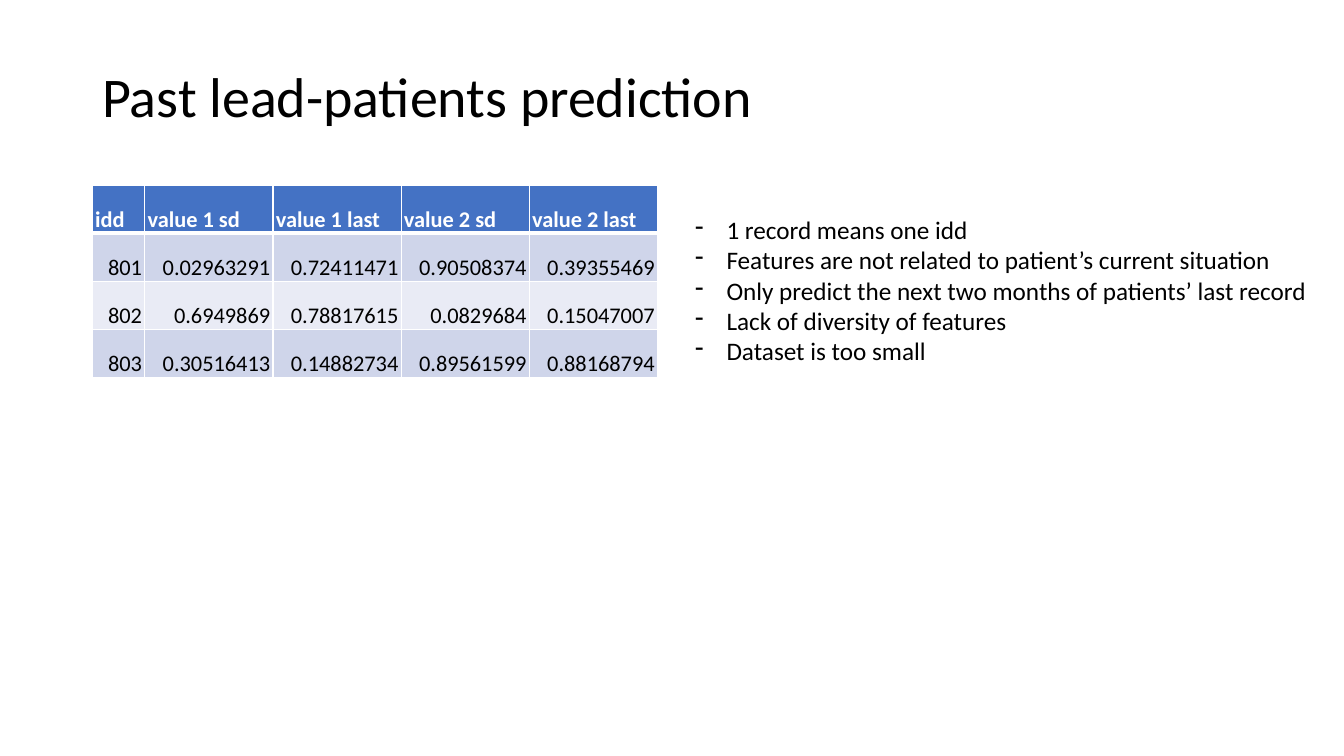
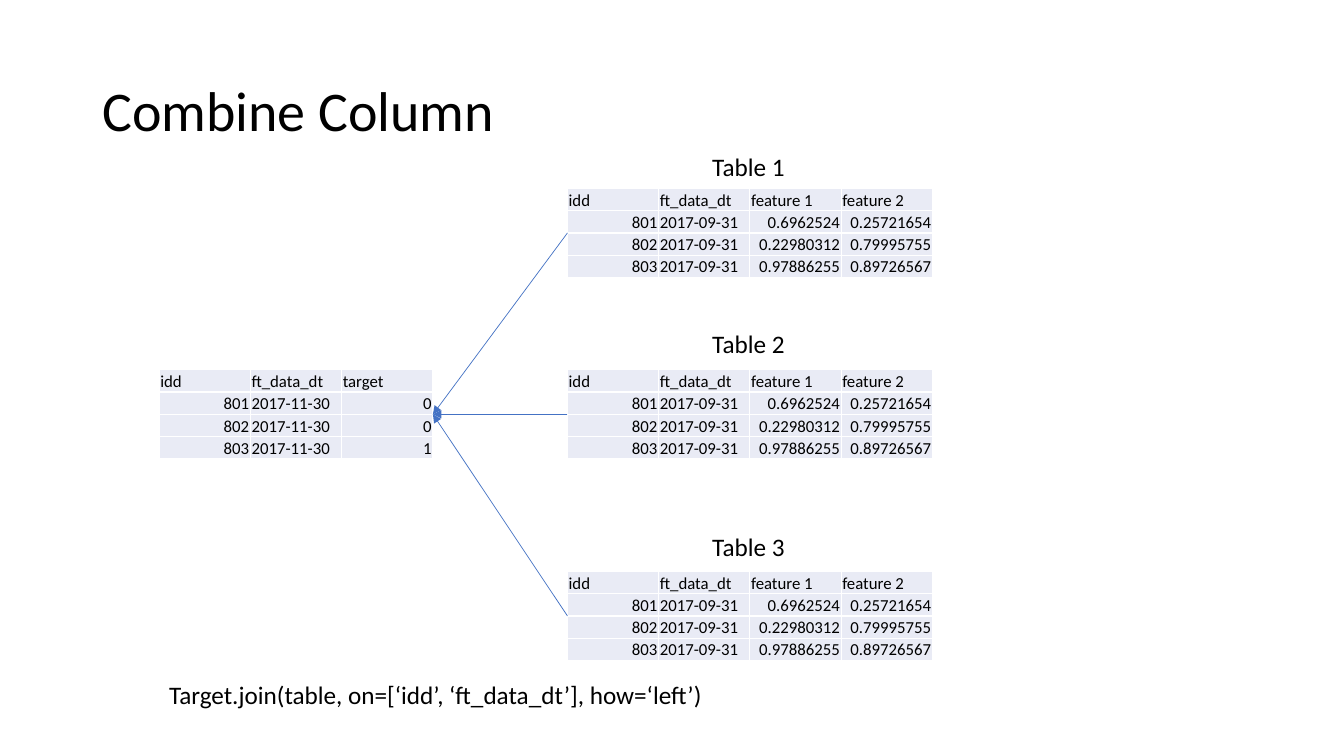
from lxml import etree
from pptx import Presentation
from pptx.dml.color import RGBColor
from pptx.enum.shapes import MSO_CONNECTOR
from pptx.enum.text import MSO_ANCHOR, MSO_AUTO_SIZE, PP_ALIGN
from pptx.oxml.ns import qn
from pptx.util import Cm, Pt

LINE = MSO_CONNECTOR.STRAIGHT
MIDDLE, BOTTOM = MSO_ANCHOR.MIDDLE, MSO_ANCHOR.BOTTOM
GROW = MSO_AUTO_SIZE.SHAPE_TO_FIT_TEXT
LEFT, RIGHT = PP_ALIGN.LEFT, PP_ALIGN.RIGHT

FONT = "Calibri"
HEX = {"ink": "000000", "white": "FFFFFF", "blue": "4472C4",
       "band": "CFD5EA", "pale": "E9EBF5"}

SCORES = [
    ["idd", "value 1 sd", "value 1 last", "value 2 sd", "value 2 last"],
    ["801", "0.02963291", "0.72411471", "0.90508374", "0.39355469"],
    ["802", "0.6949869", "0.78817615", "0.0829684", "0.15047007"],
    ["803", "0.30516413", "0.14882734", "0.89561599", "0.88168794"],
]
NOTES = [
    "1 record means one idd",
    "Features are not related to patient’s current situation",
    "Only predict the next two months of patients’ last record",
    "Lack of diversity of features",
    "Dataset is too small",
]
TARGET = [
    ["idd", "ft_data_dt", "target"],
    ["801", "2017-11-30", "0"],
    ["802", "2017-11-30", "0"],
    ["803", "2017-11-30", "1"],
]
TRAITS = [
    ["idd", "ft_data_dt", "feature 1", "feature 2"],
    ["801", "2017-09-31", "0.6962524", "0.25721654"],
    ["802", "2017-09-31", "0.22980312", "0.79995755"],
    ["803", "2017-09-31", "0.97886255", "0.89726567"],
]


def color(name):
    return RGBColor.from_string(HEX[name])


def add_run(para, text, size, ink="ink", bold=False):
    run = para.add_run()
    run.text = text
    run.font.name = FONT
    run.font.size = Pt(size)
    run.font.bold = bold
    run.font.color.rgb = color(ink)


def add_box(slide, x, y, w, h):
    return slide.shapes.add_textbox(Cm(x), Cm(y), Cm(w), Cm(h)).text_frame


def add_title(slide, text, y, h, anchor):
    frame = add_box(slide, 2.33, y, 29.21, h)
    frame.word_wrap = True
    frame.vertical_anchor = anchor
    para = frame.paragraphs[0]
    para.line_spacing = 0.9
    add_run(para, text, 40)


def add_label(slide, text, x, y, w, wrap):
    frame = add_box(slide, x, y, w, 1.03)
    frame.word_wrap = wrap
    frame.auto_size = GROW
    add_run(frame.paragraphs[0], text, 18)


def add_list(slide, items, x, y, w, h):
    frame = add_box(slide, x, y, w, h)
    frame.word_wrap = True
    frame.auto_size = GROW
    for i, item in enumerate(items):
        para = frame.add_paragraph() if i else frame.paragraphs[0]
        props = para._p.get_or_add_pPr()
        props.set("marL", str(Cm(0.79)))
        props.set("indent", str(Cm(-0.79)))
        etree.SubElement(props, qn("a:buChar"), char="-")
        add_run(para, item, 18)


def add_edges(cell, top, base):
    props = cell._tc.get_or_add_tcPr()
    for side, width in (("L", 1), ("R", 1), ("T", top), ("B", base)):
        line = etree.SubElement(props, qn("a:ln" + side), w=str(Pt(width)))
        fill = etree.SubElement(line, qn("a:solidFill"))
        etree.SubElement(fill, qn("a:srgbClr"), val=HEX["white"])


def add_grid(slide, rows, x, y, widths, height, size, inset, fills, head=False):
    table = slide.shapes.add_table(
        len(rows), len(widths), Cm(x), Cm(y),
        Cm(sum(widths)), Cm(height * len(rows))).table
    table.first_row = head
    table.horz_banding = False
    for col, width in zip(table.columns, widths):
        col.width = Cm(width)
    for r, row in enumerate(rows):
        table.rows[r].height = Cm(height)
        strong = head and r == 0
        for c, text in enumerate(row):
            cell = table.cell(r, c)
            cell.margin_left = cell.margin_right = cell.margin_top = Cm(inset)
            cell.margin_bottom = 0
            cell.vertical_anchor = BOTTOM
            add_edges(cell, 3 if head and r == 1 else 1, 3 if strong else 1)
            cell.fill.solid()
            cell.fill.fore_color.rgb = color(fills[r])
            para = cell.text_frame.paragraphs[0]
            para.alignment = LEFT if r == 0 or "-" in text else RIGHT
            add_run(para, text, size, "white" if strong else "ink", strong)


def add_arrow(slide, x1, y1, x2, y2):
    link = slide.shapes.add_connector(LINE, Cm(x1), Cm(y1), Cm(x2), Cm(y2))
    link.line.color.rgb = color("blue")
    link.line.width = Pt(0.5)
    etree.SubElement(link.line._get_or_add_ln(), qn("a:tailEnd"), type="triangle")
    etree.SubElement(link._element.spPr, qn("a:effectLst"))


def draw_past(slide):
    add_title(slide, "Past lead-patients prediction", 0.81, 2.59, BOTTOM)
    add_grid(slide, SCORES, 2.33, 4.67, [1.32] + [3.23] * 4, 1.21, 16, 0.07,
             ["blue", "band", "pale", "band"], True)
    add_list(slide, NOTES, 17.27, 5.28, 17.32, 4.11)


def draw_join(slide):
    add_title(slide, "Combine Column", 1.02, 3.68, MIDDLE)
    left, right, mid, wide, high = 4.01, 14.3, 9.32, 2.3, 0.56
    style = (high, 12, 0.03, ["pale"] * 4)
    half = 2 * high
    add_grid(slide, TARGET, left, mid, [wide] * 3, *style)
    tops = (4.75, mid, 14.4)
    for top in tops:
        add_grid(slide, TRAITS, right, top, [wide] * 4, *style)
    for top in tops:
        add_arrow(slide, right, top + half, left + 3 * wide, mid + half)
    for i, y in enumerate((3.68, 8.15, 13.26), 1):
        add_label(slide, f"Table {i}", 17.7, y, 2.36, False)
    add_label(slide, "Target.join(table, on=[‘idd’, ‘ft_data_dt’], how=‘left’)",
              left, 16.99, 16.59, True)


def main():
    deck = Presentation()
    deck.slide_width, deck.slide_height = Cm(33.87), Cm(19.05)
    for draw in (draw_past, draw_join):
        draw(deck.slides.add_slide(deck.slide_layouts[6]))
    deck.save("out.pptx")


main()
